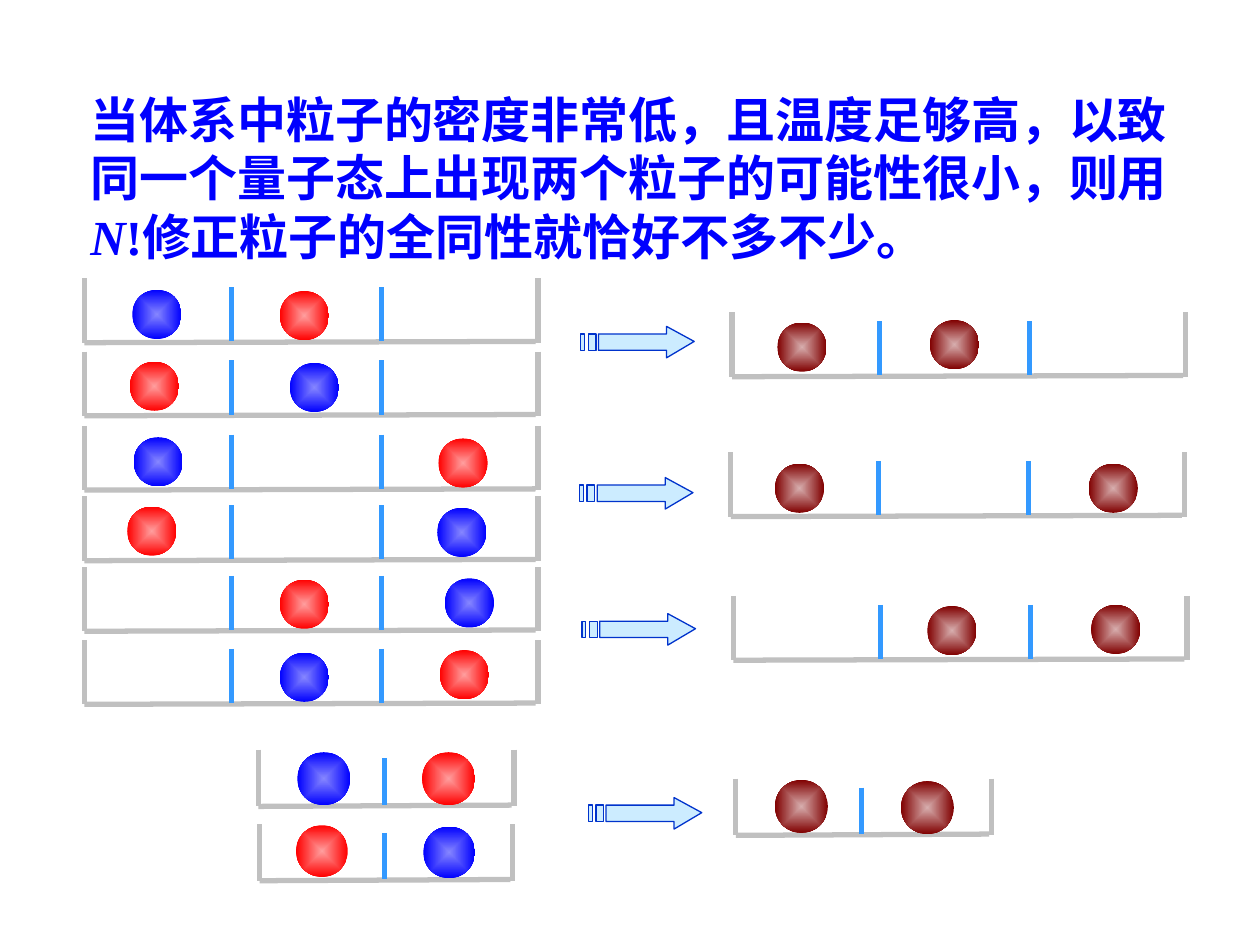
from collections import namedtuple

from lxml import etree
from pptx import Presentation
from pptx.dml.color import RGBColor
from pptx.enum.shapes import MSO_CONNECTOR, MSO_SHAPE
from pptx.oxml.ns import qn
from pptx.util import Pt

STRAIGHT = MSO_CONNECTOR.STRAIGHT
OVAL = MSO_SHAPE.OVAL

PX = 9144  # EMU per px, 100 px to the inch

COLORS = {
    "text": "0000FF",
    "wall": "C0C0C0",
    "divider": "3399FF",
    "arrow_fill": "CCECFF",
    "arrow_line": "0033CC",
}
# Centre and edge colour of each kind of particle
BALL_COLORS = {
    "blue": ("8686FF", "0000FF"),
    "red": ("FF9E9E", "FF0000"),
    "brown": ("D7AEAE", "800000"),
}

TrayStyle = namedtuple("TrayStyle", "width height dividers ball")
WIDE = TrayStyle(360, 51, (117, 236), 39)
NARROW = TrayStyle(203, 45, (100,), 42)
NARROW_LOW = TrayStyle(201, 45, (99,), 41)

# Style, left, top and the particles (colour, left, top) of each tray
TRAYS = [
    # Three states, distinguishable particles
    (WIDE, 67, 221, [("blue", 105, 230), ("red", 222, 231)]),
    (WIDE, 67, 279, [("blue", 230, 288), ("red", 103, 287)]),
    (WIDE, 67, 338, [("blue", 106, 347), ("red", 348, 348)]),
    (WIDE, 67, 394, [("blue", 347, 403), ("red", 101, 402)]),
    (WIDE, 67, 450, [("blue", 353, 459), ("red", 222, 460)]),
    (WIDE, 67, 508, [("blue", 222, 518), ("red", 349, 516)]),
    # Three states, identical particles
    (WIDE, 581, 248, [("brown", 617, 256), ("brown", 738, 254)]),
    (WIDE, 580, 359, [("brown", 615, 368), ("brown", 864, 368)]),
    (WIDE, 582, 473, [("brown", 736, 481), ("brown", 866, 480)]),
    # Two states
    (NARROW, 205, 595, [("blue", 236, 597), ("red", 335, 597)]),
    (NARROW_LOW, 206, 654, [("blue", 336, 656), ("red", 235, 655)]),
    (NARROW, 584, 618, [("brown", 615, 619), ("brown", 715, 620)]),
]
ARROWS = [(461, 259), (460, 379), (462, 487), (467, 633)]

CJK_FONT = "Noto Sans CJK SC"
LATIN_FONT = "Times New Roman"
TEXT_RUNS = [
    ("当体系中粒子的密度非常低，且温度足够高，以致同一个量子态上出现两个粒子的可能性很小，则用",
     {"name": CJK_FONT}),
    ("N", {"name": LATIN_FONT, "italic": True}),
    ("!", {"name": LATIN_FONT}),
    ("修正粒子的全同性就恰好不多不少。", {"name": CJK_FONT}),
]
RUN_FORMAT = {"size": Pt(28), "bold": True, "italic": False}


def rgb(name):
    return RGBColor.from_string(COLORS[name])


def add_line(shapes, color, start, end):
    points = [value * PX for value in (*start, *end)]
    line = shapes.add_connector(STRAIGHT, *points)
    line.line.color.rgb = rgb(color)
    line.line.width = Pt(3)
    etree.SubElement(line._element.spPr, qn("a:effectLst"))


def add_ball(shapes, color, left, top, size):
    ball = shapes.add_shape(OVAL, left * PX, top * PX, size * PX, size * PX)
    ball.shadow.inherit = False
    ball.line.fill.background()
    ball.fill.gradient()
    for stop, value in zip(ball.fill.gradient_stops, BALL_COLORS[color]):
        stop.color.rgb = RGBColor.from_string(value)
    # Turn the linear gradient into one that runs out from the centre
    gradient = ball._element.spPr.find(qn("a:gradFill"))
    gradient.remove(gradient.find(qn("a:lin")))
    radial = etree.SubElement(gradient, qn("a:path"), {"path": "shape"})
    centre = {side: "50000" for side in "ltrb"}
    etree.SubElement(radial, qn("a:fillToRect"), centre)


def add_tray(slide, style, left, top, balls):
    shapes = slide.shapes.add_group_shape().shapes
    right, bottom = left + style.width, top + style.height
    # Walls and floor
    for x in (left, right):
        add_line(shapes, "wall", (x, top), (x, bottom))
    add_line(shapes, "wall", (left, bottom), (right - 2, bottom - 1))
    # Dividers between the states
    for offset in style.dividers:
        x = left + offset
        add_line(shapes, "divider", (x, top + 7), (x, bottom - 1))
    for color, x, y in balls:
        add_ball(shapes, color, x, y, style.ball)


def add_striped_arrow(slide, left, top):
    head = [(68, 0), (68, 6), (14, 6), (14, 19), (68, 19), (68, 25), (90, 12)]
    stripes = [[(x1, 6), (x1, 19), (x2, 19), (x2, 6)]
               for x1, x2 in ((6, 12), (0, 3))]
    builder = slide.shapes.build_freeform(left + 68, top, scale=PX)
    for outline in (head, *stripes):
        points = [(left + x, top + y) for x, y in outline]
        if outline is not head:
            builder.move_to(*points[0])
        builder.add_line_segments(points[1:], close=True)
    arrow = builder.convert_to_shape()
    arrow.shadow.inherit = False
    arrow.fill.solid()
    arrow.fill.fore_color.rgb = rgb("arrow_fill")
    arrow.line.color.rgb = rgb("arrow_line")
    arrow.line.width = Pt(0.75)


def add_statement(slide):
    box = slide.shapes.add_textbox(62 * PX, 66 * PX, 894 * PX, 151 * PX)
    box.text_frame.word_wrap = True
    paragraph = box.text_frame.paragraphs[0]
    paragraph.line_spacing = Pt(33.5)
    for text, changes in TEXT_RUNS:
        run = paragraph.add_run()
        run.text = text
        run.font.color.rgb = rgb("text")
        for name, value in {**RUN_FORMAT, **changes}.items():
            setattr(run.font, name, value)
        latin = run.font._element.find(qn("a:latin"))
        east_asian = etree.Element(qn("a:ea"), {"typeface": CJK_FONT})
        latin.addnext(east_asian)


def main():
    presentation = Presentation()
    presentation.slide_width = 1000 * PX
    presentation.slide_height = 750 * PX
    slide = presentation.slides.add_slide(presentation.slide_layouts[6])
    add_statement(slide)
    for tray in TRAYS:
        add_tray(slide, *tray)
    for left, top in ARROWS:
        add_striped_arrow(slide, left, top)
    presentation.save("out.pptx")


if __name__ == "__main__":
    main()
